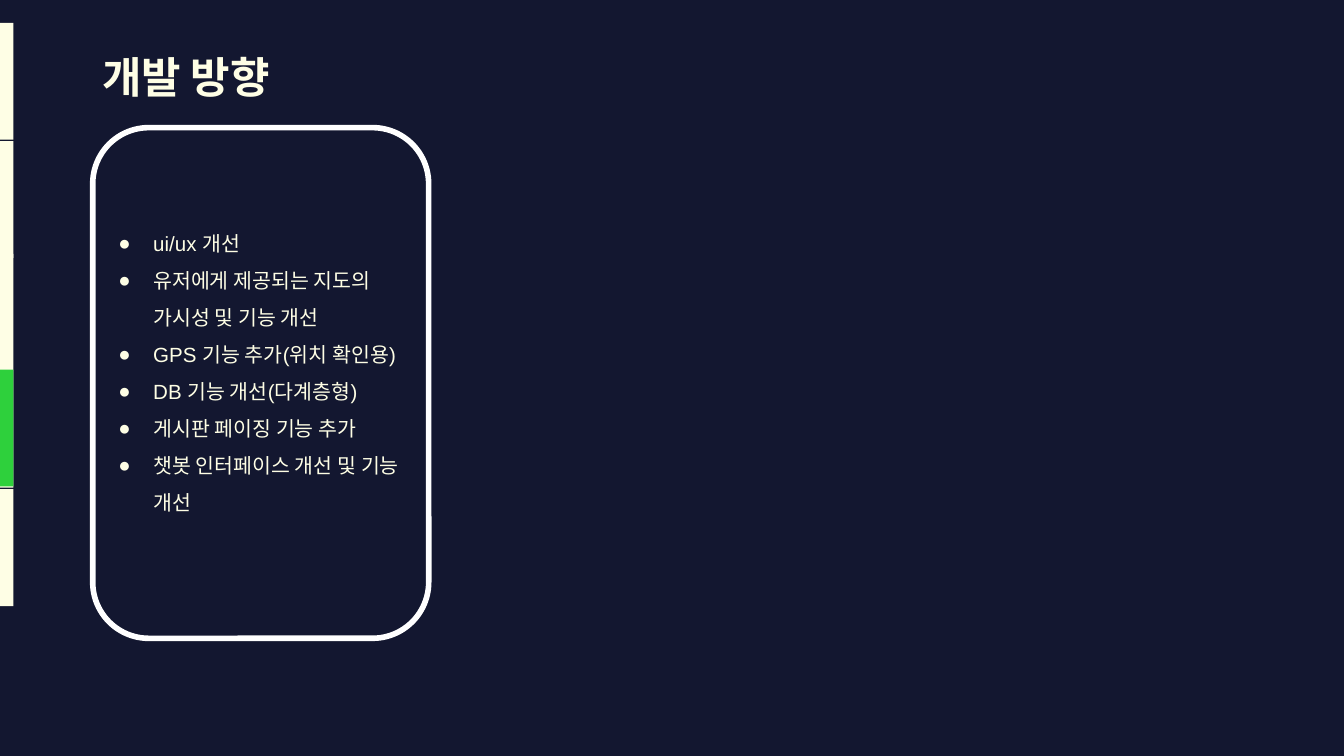
from lxml import etree
from pptx import Presentation
from pptx import util as u
from pptx.dml.color import RGBColor
from pptx.enum import shapes, text
from pptx.oxml.ns import qn

# Content
TITLE = "개발 방향"
PLANS = [
    "ui/ux 개선",
    "유저에게 제공되는 지도의 가시성 및 기능 개선",
    "GPS 기능 추가(위치 확인용)",
    "DB 기능 개선(다계층형)",
    "게시판 페이징 기능 추가",
    "챗봇 인터페이스 개선 및 기능 개선",
]

# Theme and layout, in inches and points
THEME = dict(bg="131730", ink="FEFEE5", accent="2ED03C", frame="FFFFFF",
             font="Arial", title=23, body=11)
W = 10
H = W * 9 / 16
MARGIN, CARD_W = 0.69, 2.5
TAB_W, TAB_H = 0.1, 0.87
TABS = [(0.17, "ink"), (1.05, "ink"), (1.89, "ink"), (2.76, "ink"),
        (3.64, "ink"), (2.75, "accent")]  # the current section lies on top
HANG, INDENT = 0.26, 0.38


def rgb(name):
    return RGBColor.from_string(THEME[name])


def add_shape(s, kind, *box):
    sp = s.shapes.add_shape(kind, *map(u.Inches, box))
    sp.shadow.inherit = False
    return sp


def add_text(s, box, top, bottom):
    tf = s.shapes.add_textbox(*map(u.Inches, box)).text_frame
    tf.word_wrap = True
    tf.margin_left = tf.margin_right = u.Inches(0.07)
    tf.margin_top, tf.margin_bottom = u.Inches(top), u.Inches(bottom)
    return tf


def add_run(p, words, size, bold=False):
    r = p.add_run()
    r.text = words
    r.font.name, r.font.size, r.font.bold = THEME["font"], u.Pt(THEME[size]), bold
    r.font.color.rgb = rgb("ink")


def add_bullet(p):
    pPr = p._p.get_or_add_pPr()
    pPr.set("marL", str(u.Inches(INDENT)))
    pPr.set("indent", str(-u.Inches(HANG)))
    color = etree.SubElement(pPr, qn("a:buClr"))
    etree.SubElement(color, qn("a:srgbClr"), val=THEME["ink"])
    etree.SubElement(pPr, qn("a:buFont"), typeface=THEME["font"])
    etree.SubElement(pPr, qn("a:buChar"), char="●")


prs = Presentation()
prs.slide_width, prs.slide_height = u.Inches(W), u.Inches(H)
s = prs.slides.add_slide(prs.slide_layouts[6])
s.background.fill.solid()
s.background.fill.fore_color.rgb = rgb("bg")

# Title
tf = add_text(s, (MARGIN, 0.25, W - 2 * MARGIN, 0.69), 0.04, 0.04)
tf.vertical_anchor = text.MSO_ANCHOR.MIDDLE
tf.paragraphs[0].line_spacing = 0.9
add_run(tf.paragraphs[0], TITLE, "title", bold=True)

# Section tabs on the left edge
for top, color in TABS:
    tab = add_shape(s, shapes.MSO_SHAPE.RECTANGLE, 0, top, TAB_W, TAB_H)
    tab.fill.solid()
    tab.fill.fore_color.rgb = rgb(color)
    tab.line.fill.background()

# Card frame
card = add_shape(s, shapes.MSO_SHAPE.ROUNDED_RECTANGLE, MARGIN, 0.95, CARD_W, 3.8)
card.adjustments[0] = 0.167
card.fill.background()
card.line.color.rgb = rgb("frame")
card.line.width = u.Pt(3)

# Plans in the card, one line below its top
tf = add_text(s, (MARGIN, 1.37, CARD_W, 2.91), 0.26, 0.07)
for i, plan in enumerate(PLANS):
    p = tf.paragraphs[0] if i == 0 else tf.add_paragraph()
    p.line_spacing = 1.5
    add_bullet(p)
    add_run(p, plan, "body")

prs.save("out.pptx")
